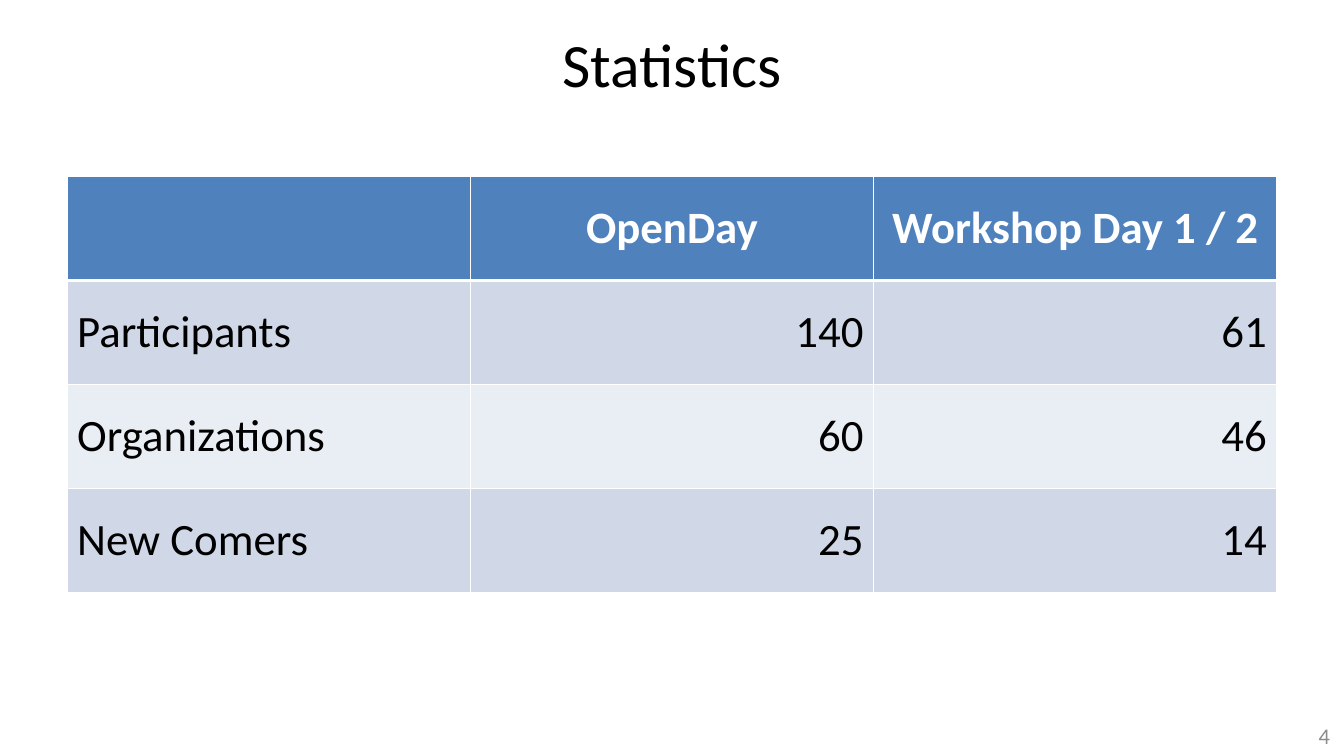
from lxml import etree
from pptx import Presentation
from pptx.dml.color import RGBColor
from pptx.enum import text
from pptx.oxml import ns
from pptx.util import Pt

BLACK = RGBColor(0x00, 0x00, 0x00)
WHITE = RGBColor(0xFF, 0xFF, 0xFF)
GRAY = RGBColor(0x8C, 0x8C, 0x8C)
HEADER_BLUE = RGBColor(0x4F, 0x81, 0xBD)
BAND_DARK = RGBColor(0xD0, 0xD8, 0xE8)
BAND_LIGHT = RGBColor(0xE9, 0xED, 0xF4)
LEFT, CENTER, RIGHT = text.PP_ALIGN.LEFT, text.PP_ALIGN.CENTER, text.PP_ALIGN.RIGHT

PAGE_WIDTH, PAGE_HEIGHT = 960.5, 540


def write(frame, words, size=32, color=BLACK, bold=False, align=LEFT):
    frame.word_wrap = True
    para = frame.paragraphs[0]
    para.alignment = align
    span = para.add_run()
    span.text = words
    span.font.name = "Calibri"
    span.font.size = Pt(size)
    span.font.bold = bold
    span.font.color.rgb = color


def add_border(cell, side, width):
    line = etree.SubElement(cell._tc.get_or_add_tcPr(), ns.qn(f"a:ln{side}"), w=str(Pt(width)))
    fill = etree.SubElement(line, ns.qn("a:solidFill"))
    etree.SubElement(fill, ns.qn("a:srgbClr"), val=str(WHITE))


deck = Presentation()
deck.slide_width, deck.slide_height = Pt(PAGE_WIDTH), Pt(PAGE_HEIGHT)
page = deck.slides.add_slide(deck.slide_layouts[6])

# Title and page number
for words, left, top, width, height, style in [
    ("Statistics", 0, 0, PAGE_WIDTH, 90, dict(size=44, align=CENTER)),
    ("4", 736, 511, 224, 29, dict(size=16, color=GRAY, align=RIGHT)),
]:
    frame = page.shapes.add_textbox(Pt(left), Pt(top), Pt(width), Pt(height)).text_frame
    frame.vertical_anchor = text.MSO_ANCHOR.MIDDLE
    frame.margin_left = frame.margin_right = Pt(9.6)
    frame.margin_top = frame.margin_bottom = Pt(4.8)
    write(frame, words, **style)

# Statistics table
ROWS = [
    ("", "OpenDay", "Workshop Day 1 / 2"),
    ("Participants", "140", "61"),
    ("Organizations", "60", "46"),
    ("New Comers", "25", "14"),
]
table = page.shapes.add_table(len(ROWS), 3, Pt(48), Pt(126), Pt(864.6), Pt(297.2)).table

for row, values in enumerate(ROWS):
    header = row == 0
    for column, words in enumerate(values):
        cell = table.cell(row, column)
        cell.vertical_anchor = text.MSO_ANCHOR.MIDDLE
        # Borders come before the fill, with a thick line under the header
        for side in "LRTB":
            thick = (row, side) in [(0, "B"), (1, "T")]
            add_border(cell, side, 3 if thick else 1)
        cell.fill.solid()
        if header:
            cell.fill.fore_color.rgb = HEADER_BLUE
        else:
            cell.fill.fore_color.rgb = BAND_DARK if row % 2 else BAND_LIGHT
        if words:
            align = CENTER if header else RIGHT if column else LEFT
            write(cell.text_frame, words, color=WHITE if header else BLACK,
                  bold=header, align=align)

deck.save("out.pptx")
